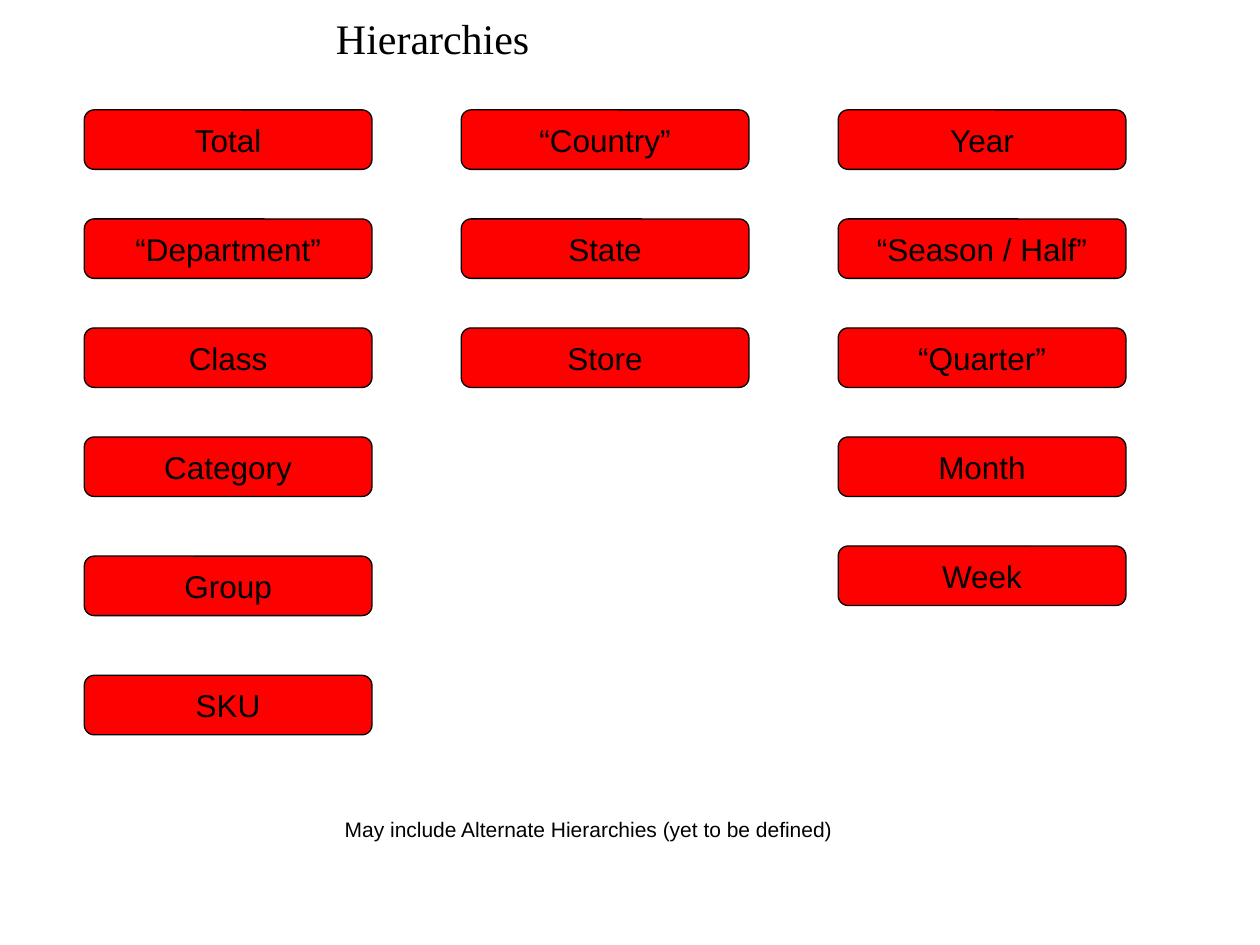
"""Build a slide showing the product, location and calendar hierarchies."""
from dataclasses import dataclass

from pptx import Presentation
from pptx.dml.color import RGBColor
from pptx.enum.shapes import MSO_SHAPE
from pptx.enum.text import MSO_ANCHOR, MSO_AUTO_SIZE, PP_ALIGN
from pptx.util import Pt

BLACK, RED = "000000", "FD0000"
LEFT, TOP = 48.2, 62.8
COLUMN_PITCH, ROW_PITCH, WIDE_ROW_PITCH = 215.4, 62.3, 68.1
BOX_WIDTH, BOX_HEIGHT = 164.4, 34


@dataclass
class Hierarchy:
    levels: list[str]
    wide_from: int = 99


@dataclass
class Label:
    text: str
    left: float
    top: float
    width: float
    height: float
    size: float
    font: str
    wrap: bool


HIERARCHIES = [
    Hierarchy(["Total", "“Department”", "Class", "Category", "Group", "SKU"], wide_from=4),
    Hierarchy(["“Country”", "State", "Store"]),
    Hierarchy(["Year", "“Season / Half”", "“Quarter”", "Month", "Week"]),
]
LABELS = [
    Label("Hierarchies", 184.9, 3.6, 125.3, 36, 24, "Times New Roman", False),
    Label("May include Alternate Hierarchies (yet to be defined)",
          189.9, 463, 306, 21.6, 12, "Arial", True),
]


def color(value: str) -> RGBColor:
    return RGBColor.from_string(value)


def set_text(s, text: str, size: float, font: str, wrap: bool) -> None:
    tf = s.text_frame
    tf.text = text
    tf.word_wrap = wrap
    r = tf.paragraphs[0].runs[0]
    r.font.size = Pt(size)
    r.font.name = font
    r.font.color.rgb = color(BLACK)


def add_level(slide, text: str, left: float, top: float) -> None:
    s = slide.shapes.add_shape(MSO_SHAPE.ROUNDED_RECTANGLE, Pt(left), Pt(top),
                               Pt(BOX_WIDTH), Pt(BOX_HEIGHT))
    s.shadow.inherit = False
    s.fill.solid()
    s.fill.fore_color.rgb = color(RED)
    s.line.color.rgb = color(BLACK)
    s.line.width = Pt(0.75)
    set_text(s, text, 18, "Arial", False)
    s.text_frame.vertical_anchor = MSO_ANCHOR.MIDDLE
    s.text_frame.paragraphs[0].alignment = PP_ALIGN.CENTER


def add_hierarchy(slide, hierarchy: Hierarchy, left: float) -> None:
    top = TOP
    for row, level in enumerate(hierarchy.levels):
        if row:
            top += WIDE_ROW_PITCH if row >= hierarchy.wide_from else ROW_PITCH
        add_level(slide, level, left, top)


def add_label(slide, label: Label) -> None:
    s = slide.shapes.add_textbox(Pt(label.left), Pt(label.top),
                                 Pt(label.width), Pt(label.height))
    set_text(s, label.text, label.size, label.font, label.wrap)
    s.text_frame.auto_size = MSO_AUTO_SIZE.SHAPE_TO_FIT_TEXT


def main() -> None:
    prs = Presentation()
    prs.slide_width, prs.slide_height = Pt(720), Pt(540)
    slide = prs.slides.add_slide(prs.slide_layouts[6])
    for column, hierarchy in enumerate(HIERARCHIES):
        add_hierarchy(slide, hierarchy, LEFT + column * COLUMN_PITCH)
    for label in LABELS:
        add_label(slide, label)
    prs.save("out.pptx")


if __name__ == "__main__":
    main()
